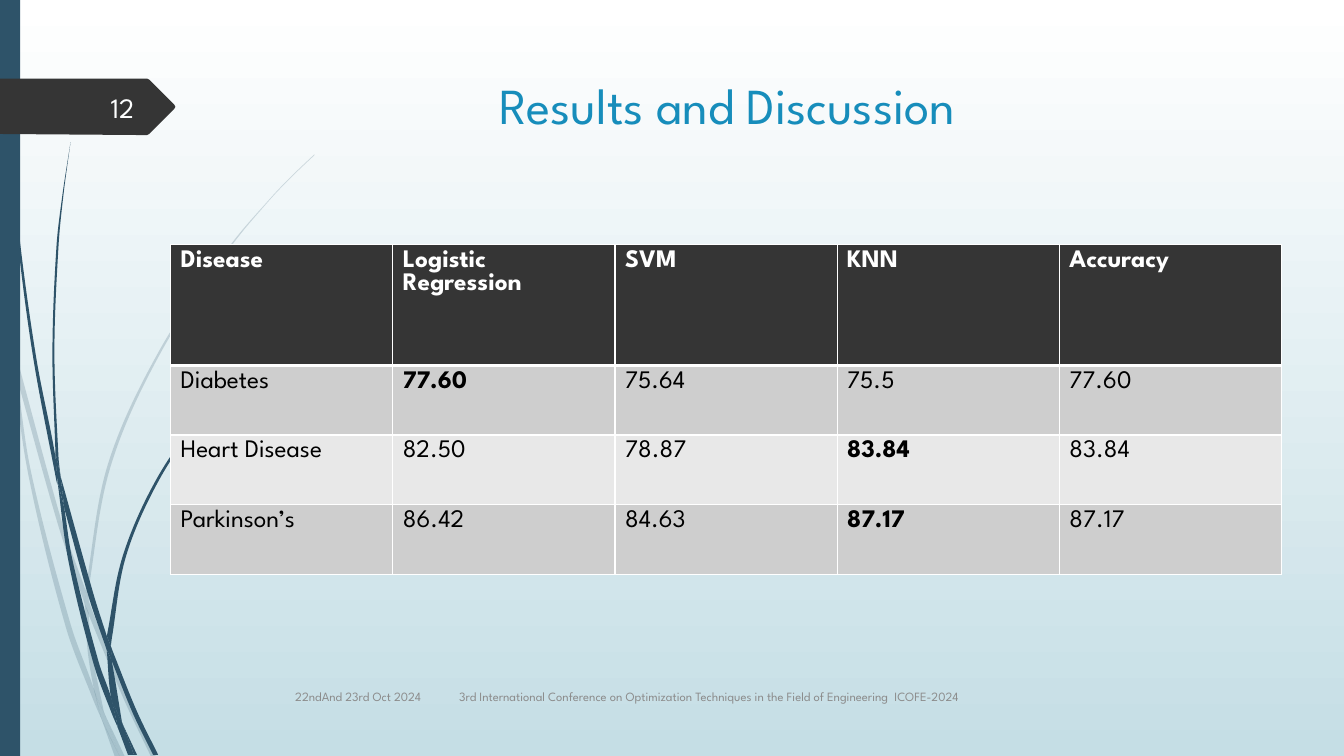
from math import dist

from lxml import etree
from pptx import Presentation
from pptx.dml.color import RGBColor
from pptx.enum.shapes import MSO_SHAPE
from pptx.enum.text import MSO_ANCHOR, PP_ALIGN
from pptx.oxml.ns import qn
from pptx.util import Pt

RECT = MSO_SHAPE.RECTANGLE
LEFT, CENTER, RIGHT = PP_ALIGN.LEFT, PP_ALIGN.CENTER, PP_ALIGN.RIGHT
TOP, MIDDLE = MSO_ANCHOR.TOP, MSO_ANCHOR.MIDDLE

# Content
FONT = "League Spartan"
TITLE = "Results and Discussion"
PAGE = "12"
FOOTER = ("22ndAnd 23rd Oct 2024\t3rd International Conference on Optimization "
          "Techniques in the Field of Engineering  ICOFE-2024")
ROWS = [
    ("Disease", "Logistic Regression", "SVM", "KNN", "Accuracy"),
    ("Diabetes", "77.60", "75.64", "75.5", "77.60"),
    ("Heart Disease", "82.50", "78.87", "83.84", "83.84"),
    ("Parkinson’s", "86.42", "84.63", "87.17", "87.17"),
]
BEST = {(1, 1), (2, 3), (3, 3)}  # (row, column) of the best score
ROW_FILLS = ["353535", "CECECE", "E8E8E8", "CECECE"]
NAVY, DARK, WHITE = "2E5369", "353535", "FFFFFF"

# Grass blades: each piece has two edges, on a grid of 0.72 pt
UNIT = 0.72
PALE_BLADES = [
    ([(11, 350), (9, 322), (0, 282)], [(0, 299), (10, 344)]),
    ([(85, 586), (62, 520), (14, 345)], [(17, 376), (58, 522), (84, 599)]),
    ([(155, 751), (127, 692), (92, 607), (88, 596)],
     [(88, 610), (123, 694), (150, 751)]),
    ([(119, 751), (124, 751)], [(105, 711)]),
    ([(11, 350), (28, 470), (65, 621), (92, 693), (101, 714)],
     [(99, 707), (93, 683), (70, 619), (31, 469), (17, 376)]),
    ([(84, 599), (87, 646), (93, 683), (96, 692), (105, 711)],
     [(103, 706), (91, 646), (88, 610), (88, 608)]),
    ([(88, 596), (88, 584), (110, 462), (160, 349), (229, 245), (268, 198),
      (290, 175), (312, 154)],
     [(312, 153), (289, 175), (268, 197), (228, 244), (158, 348), (107, 461),
      (85, 584), (85, 586)]),
    ([(101, 714), (114, 751)], [(119, 751)]),
    ([(88, 610), (88, 596)], [(85, 586), (84, 599)]),
    ([(93, 683), (99, 707), (101, 714), (119, 751)],
     [(105, 711), (96, 692)]),
]
DARK_BLADES = [
    ([(4, 0), (5, 48), (8, 109), (19, 232), (36, 355), (55, 453), (57, 481)],
     [(56, 477), (33, 355), (17, 233), (7, 110), (4, 48), (3, 0)]),
    ([(60, 472), (93, 590), (106, 631)], [(106, 645), (88, 592), (64, 505)]),
    ([(110, 641), (113, 649), (136, 706), (157, 749)],
     [(152, 749), (132, 708), (111, 656)]),
    ([(57, 477), (68, 557), (93, 659), (111, 708), (117, 722)],
     [(116, 717), (110, 691), (98, 657), (72, 556), (64, 505)]),
    ([(60, 472), (58, 453), (54, 349), (58, 245), (63, 193), (70, 141)],
     [(70, 141), (62, 193), (56, 245), (52, 349), (55, 449)]),
    ([(122, 719), (133, 749)], [(136, 749)]),
    ([(57, 477), (64, 505)], [(60, 472), (55, 449), (55, 453)]),
    ([(110, 641), (111, 633), (125, 552), (158, 476), (205, 406), (231, 374),
      (245, 359), (261, 344)],
     [(260, 344), (245, 358), (231, 373), (204, 405), (156, 474), (122, 551),
      (106, 631)]),
    ([(117, 722), (127, 749)], [(131, 749)]),
    ([(106, 645), (110, 691), (116, 706), (122, 719)],
     [(121, 716), (111, 656), (109, 651)]),
    ([(106, 631), (106, 645)], [(109, 651), (111, 656), (110, 641)]),
    ([(110, 691), (116, 717), (117, 722), (130, 749)],
     [(133, 749), (122, 719), (116, 706)]),
]
PAGE_TAG = [(0, 78), (136, 78), (146, 78), (148, 79), (173, 104), (174, 106),
            (173, 108), (148, 133), (146, 134), (136, 134), (0, 133)]


def rgb(hex_color):
    return RGBColor.from_string(hex_color)


def paint(sp, color, alpha=None):
    sp.shadow.inherit = False
    sp.fill.solid()
    sp.fill.fore_color.rgb = rgb(color)
    sp.line.fill.background()
    if alpha:
        clr = sp._element.spPr.find(".//" + qn("a:srgbClr"))
        etree.SubElement(clr, qn("a:alpha"), val=str(alpha * 1000))


def outline(shapes, points, color, alpha=None):
    pts = [(x * UNIT * 100, y * UNIT * 100) for x, y in points]
    fb = shapes.build_freeform(*pts[0], scale=Pt(0.01))
    fb.add_line_segments(pts[1:], close=True)
    sp = fb.convert_to_shape()
    paint(sp, color, alpha)
    return sp


def bend(sp, n_near):
    """Turn the straight segments along both edges into Bézier curves."""
    nodes = list(sp._element.iter(qn("a:pt")))
    pts = [(int(n.get("x")), int(n.get("y"))) for n in nodes]
    for start, end in ((0, n_near), (n_near, len(sp_points(pts)))):
        for i in range(start, end - 1):
            b, c = pts[i], pts[i + 1]
            reach = dist(b, c) / 3
            controls = []
            for k, sign in ((i, 1), (i + 1, -1)):
                p, q = pts[max(k - 1, start)], pts[min(k + 1, end - 1)]
                span = dist(p, q) or 1
                controls.append([round(pts[k][m] + sign * reach * (q[m] - p[m]) / span)
                                 for m in (0, 1)])
            line = nodes[i + 1].getparent()
            curve = etree.Element(qn("a:cubicBezTo"))
            for x, y in (*controls, c):
                etree.SubElement(curve, qn("a:pt"), x=str(x), y=str(y))
            line.getparent().replace(line, curve)


def sp_points(pts):
    """Outline points without a repeated start at the end."""
    return pts[:-1] if pts[-1] == pts[0] else pts


def write(tf, text, size=18, color="000000", bold=False, align=LEFT,
          anchor=TOP, tab=None):
    tf.word_wrap = True
    tf.vertical_anchor = anchor
    p = tf.paragraphs[0]
    p.alignment = align
    if tab:
        tabs = etree.SubElement(p._p.get_or_add_pPr(), qn("a:tabLst"))
        etree.SubElement(tabs, qn("a:tab"), pos=str(Pt(tab)), algn="l")
    r = p.add_run()
    r.text = text
    f = r.font
    f.name, f.size, f.bold = FONT, Pt(size), bold
    f.color.rgb = rgb(color)


def text_box(x, y, w, h, text, **fmt):
    box = s.shapes.add_textbox(Pt(x), Pt(y), Pt(w), Pt(h))
    write(box.text_frame, text, **fmt)


def border(cell, **widths):
    tcPr = cell._tc.get_or_add_tcPr()
    for i, side in enumerate("LRTB"):
        ln = etree.Element(qn("a:ln" + side), w=str(Pt(widths.get(side, 1))))
        fill = etree.SubElement(ln, qn("a:solidFill"))
        etree.SubElement(fill, qn("a:srgbClr"), val=WHITE)
        tcPr.insert(i, ln)


prs = Presentation()
prs.slide_width, prs.slide_height = Pt(960), Pt(540)
s = prs.slides.add_slide(prs.slide_layouts[6])

# Background
bg = s.background.fill
bg.gradient()
bg.gradient_angle = 270
for stop, color, pos in zip(bg.gradient_stops, (WHITE, "C5DEE5"), (0, 1)):
    stop.color.rgb = rgb(color)
    stop.position = pos

# Grass, side bar and page tag
for blades, alpha in ((PALE_BLADES, 20), (DARK_BLADES, None)):
    group = s.shapes.add_group_shape()
    for near, far in blades:
        bend(outline(group.shapes, near + far, NAVY, alpha), len(near))
paint(s.shapes.add_shape(RECT, 0, 0, Pt(14.4), Pt(540)), NAVY)
outline(s.shapes, PAGE_TAG, DARK)

# Title
text_box(133.2, 49.2, 772.6, 100.8, TITLE, size=36, color="178DBB", align=CENTER)

# Results table
HEAD_H, ROW_H, COL_W = 86.4, 49.7, 158.7
n_rows, n_cols = len(ROWS), len(ROWS[0])
table = s.shapes.add_table(n_rows, n_cols, Pt(121.9), Pt(174.6), Pt(COL_W * n_cols),
                           Pt(HEAD_H + ROW_H * (n_rows - 1))).table
for col in table.columns:
    col.width = Pt(COL_W)
for i, values in enumerate(ROWS):
    head = i == 0
    table.rows[i].height = Pt(HEAD_H if head else ROW_H)
    for j, value in enumerate(values):
        cell = table.cell(i, j)
        cell.fill.solid()
        cell.fill.fore_color.rgb = rgb(ROW_FILLS[i])
        border(cell, T=3 if i == 1 else 1, B=3 if head else 1)
        write(cell.text_frame, value, color=WHITE if head else "000000",
              bold=head or (i, j) in BEST)

# Footer and page number
text_box(203.8, 483.1, 599.8, 28.8, FOOTER, size=9, color="8C8C8C",
         anchor=MIDDLE, tab=117)
text_box(41.8, 61.9, 61.2, 28.8, PAGE, size=20, color="FEFFFF", align=RIGHT,
         anchor=MIDDLE)

prs.save("out.pptx")
